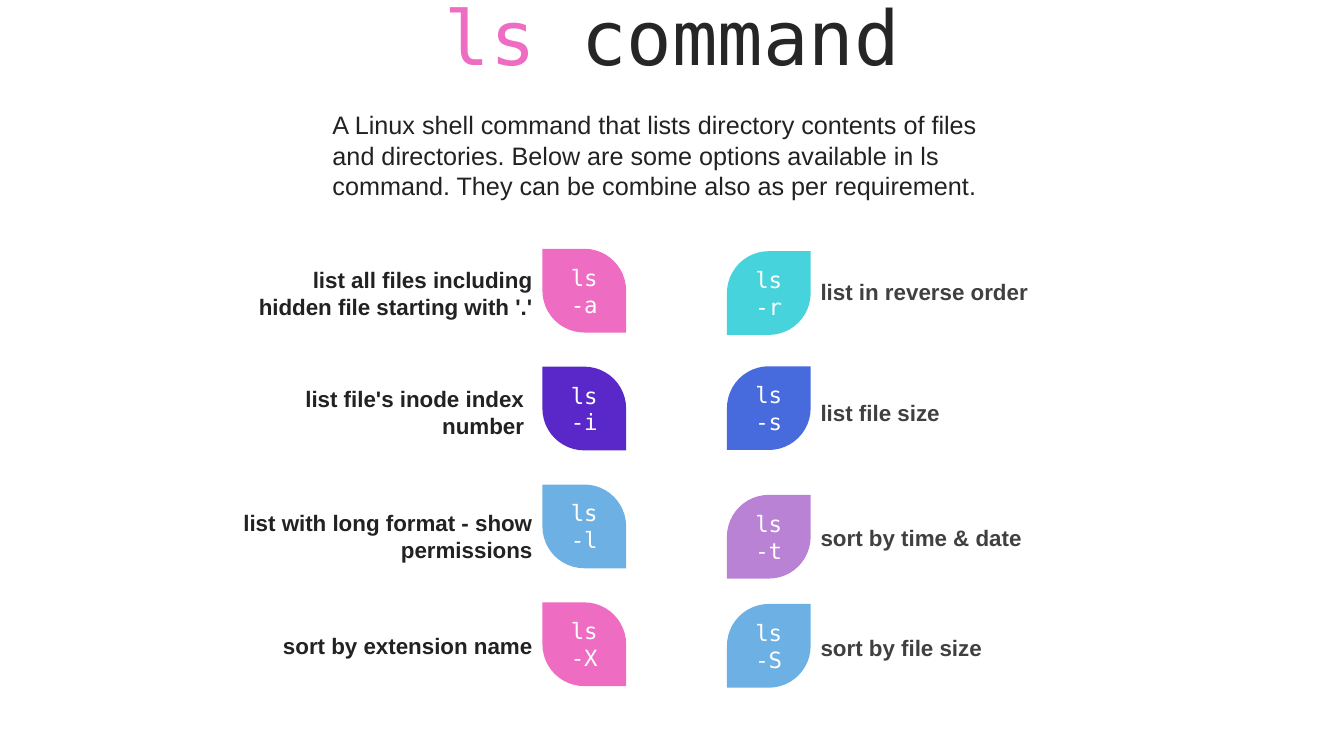
from pptx import Presentation
from pptx.dml.color import RGBColor
from pptx.enum.shapes import MSO_SHAPE as Shape
from pptx.enum.text import MSO_ANCHOR as Anchor, MSO_AUTO_SIZE as AutoSize, PP_ALIGN as Align
from pptx.util import Cm, Pt

MONO, SANS = "DejaVu Sans Mono", "Arial"
PINK, SKY, INK, GREY = "EE6CC1", "6DB0E4", "222222", "404040"
LEAF = 2.11
LEFT_LEAF_X, RIGHT_LEAF_X = 13.67, 18.32
LEFT_TOP, LEFT_PITCH = 6.27, 2.97
LABEL_W = 7.8

# Option, colour, description, label right edge, label top, label height
LEFT_OPTIONS = [
    ("ls -a", PINK, "list all files including hidden file starting with '.'", 13.67, 6.58, 1.63),
    ("ls -i", "5A28C8", "list file's inode index number", 13.46, 9.58, 1.63),
    ("ls -l", SKY, "list with long format - show permissions", 13.67, 12.7, 1.63),
    ("ls -X", PINK, "sort by extension name", 13.67, 15.8, 0.94),
]
# Option, colour, description, leaf top, label top
RIGHT_OPTIONS = [
    ("ls -r", "47D3DC", "list in reverse order", 6.33, 6.88),
    ("ls -s", "476ADD", "list file size", 9.23, 9.93),
    ("ls -t", "B982D5", "sort by time & date", 12.47, 13.08),
    ("ls -S", SKY, "sort by file size", 15.22, 15.85),
]


def rgb(value):
    return RGBColor.from_string(value)


def style(font, name, size, color, bold=False):
    font.name, font.size, font.bold = name, Pt(size), bold
    font.color.rgb = rgb(color)


def add_title(slide):
    title = slide.shapes.title
    title.left, title.top, title.width, title.height = Cm(0.86), Cm(0.03), Cm(32.16), Cm(2)
    frame = title.text_frame
    frame.auto_size, frame.vertical_anchor = AutoSize.NONE, Anchor.MIDDLE
    heading = frame.paragraphs[0]
    heading.alignment, heading.line_spacing = Align.CENTER, 0.9
    heading.space_before = Pt(0)
    for text, color in (("ls", PINK), (" command", "262626")):
        run = heading.add_run()
        run.text = text
        style(run.font, MONO, 54, color)


def add_text(slide, text, left, top, width, height, size, color, bold=False, align=Align.LEFT):
    frame = slide.shapes.add_textbox(Cm(left), Cm(top), Cm(width), Cm(height)).text_frame
    frame.word_wrap = True
    frame.auto_size = AutoSize.SHAPE_TO_FIT_TEXT
    paragraph = frame.paragraphs[0]
    paragraph.text, paragraph.alignment = text, align
    style(paragraph.font, SANS, size, color, bold)


def add_leaf(slide, option, color, left, top, rounding):
    leaf = slide.shapes.add_shape(Shape.ROUND_2_DIAG_RECTANGLE, Cm(left), Cm(top), Cm(LEAF), Cm(LEAF))
    leaf.adjustments[0], leaf.adjustments[1] = rounding
    leaf.shadow.inherit = False
    leaf.fill.solid()
    leaf.fill.fore_color.rgb = rgb(color)
    leaf.line.fill.background()
    frame = leaf.text_frame
    frame.word_wrap, frame.vertical_anchor = True, Anchor.MIDDLE
    frame.margin_top = frame.margin_bottom = 0
    paragraph = frame.paragraphs[0]
    paragraph.text, paragraph.alignment = option, Align.CENTER
    style(paragraph.font, MONO, 16, "FFFFFF")


def main():
    prs = Presentation()
    prs.slide_width, prs.slide_height = Cm(33.87), Cm(19.05)
    slide = prs.slides.add_slide(prs.slide_layouts[5])

    # Title and introduction
    add_title(slide)
    add_text(slide, "A Linux shell command that lists directory contents of files and directories. "
             "Below are some options available in ls command. "
             "They can be combine also as per requirement.", 8.13, 2.64, 16.97, 2.57, 18, INK)

    # Left column: square corners at top left and bottom right
    for row, (option, color, description, right, top, height) in enumerate(LEFT_OPTIONS):
        add_leaf(slide, option, color, LEFT_LEAF_X, LEFT_TOP + row * LEFT_PITCH, (0, 0.5))
        add_text(slide, description, right - LABEL_W, top, LABEL_W, height, 16, INK, True, Align.RIGHT)

    # Right column: square corners at top right and bottom left
    for option, color, description, leaf_top, top in RIGHT_OPTIONS:
        add_leaf(slide, option, color, RIGHT_LEAF_X, leaf_top, (0.5, 0))
        add_text(slide, description, RIGHT_LEAF_X + LEAF, top, LABEL_W, 0.94, 16, GREY, True)

    prs.save("out.pptx")


if __name__ == "__main__":
    main()
